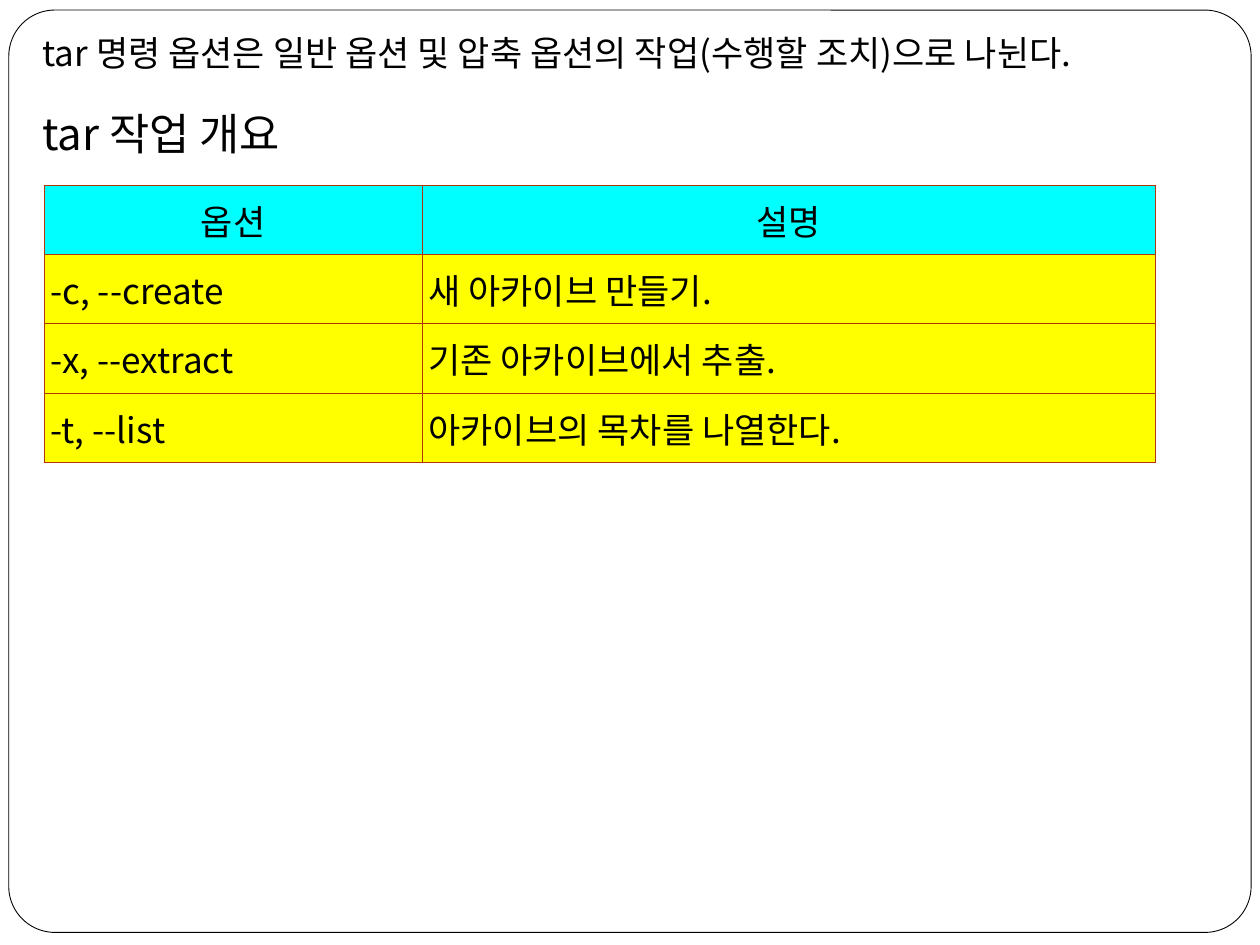
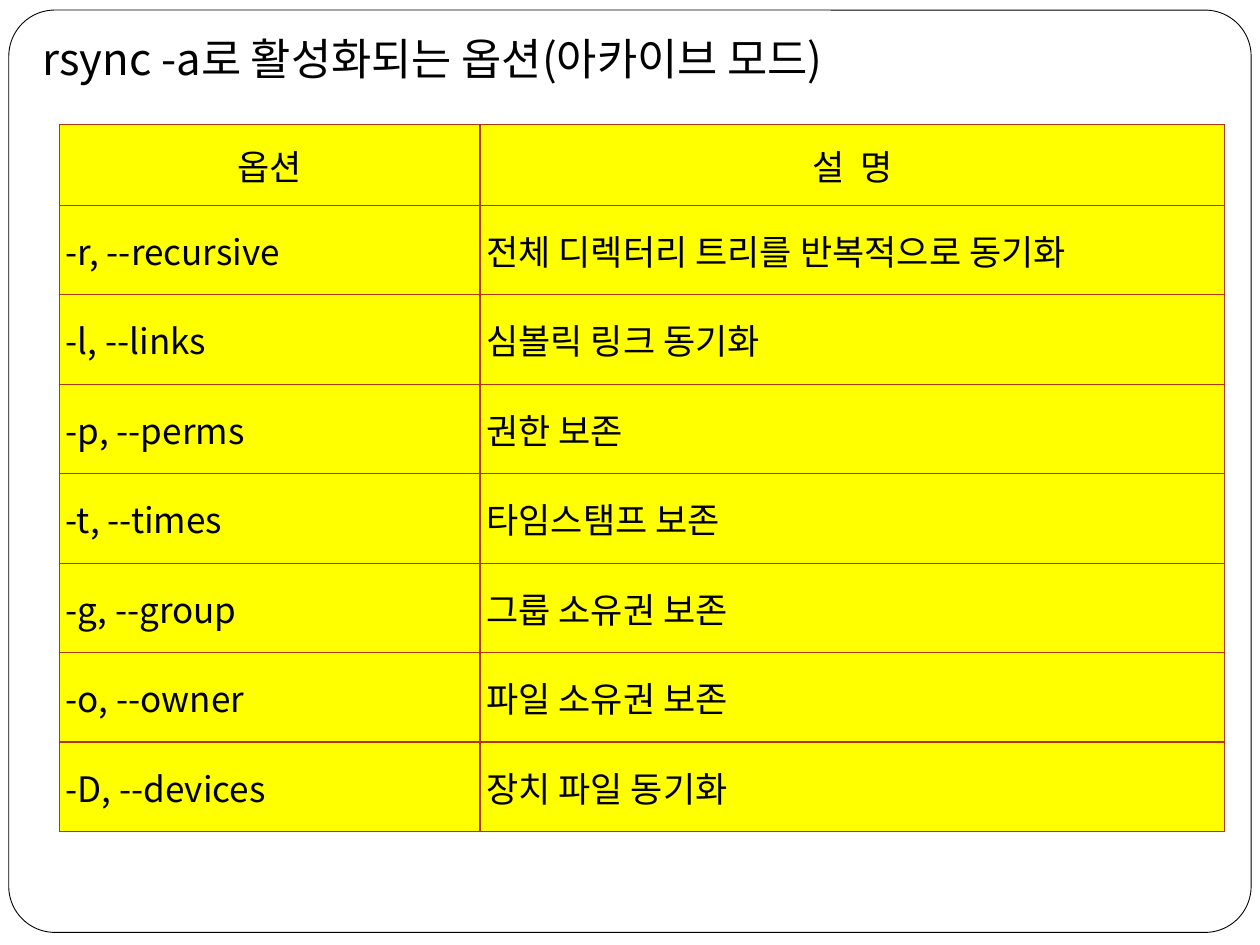
from lxml import etree
from pptx import Presentation
from pptx.dml.color import RGBColor
from pptx.enum.shapes import MSO_SHAPE
from pptx.enum.text import MSO_ANCHOR, PP_ALIGN
from pptx.oxml.ns import qn
from pptx.util import Inches, Pt

ROUND = MSO_SHAPE.ROUNDED_RECTANGLE
MIDDLE = MSO_ANCHOR.MIDDLE
LEFT, CENTER = PP_ALIGN.LEFT, PP_ALIGN.CENTER

# Shared style
FONT = "Noto Sans CJK KR"
COLORS = {"ink": "000000", "paper": "FFFFFF", "head": "00FFFF",
          "body": "FFFF00", "edge": "B1360B"}
BODY, TITLE = 20, 25
PAD = Inches(0.05)

# Content: lines are (text, size, space before)
SLIDES = [
    {
        "lines": [
            ("tar 명령 옵션은 일반 옵션 및 압축 옵션의 작업(수행할 조치)으로 나뉜다.", BODY, 0),
            ("tar 작업 개요", TITLE, 19),
        ],
        "at": (0.35, 1.47), "cols": (3, 5.82), "heights": (0.55, 0.55),
        "head": "head",
        "rows": [
            ("옵션", "설명"),
            ("-c, --create", "새 아카이브 만들기."),
            ("-x, --extract", "기존 아카이브에서 추출."),
            ("-t, --list", "아카이브의 목차를 나열한다."),
        ],
    },
    {
        "lines": [("rsync -a로 활성화되는 옵션(아카이브 모드)", TITLE, 0)],
        "at": (0.47, 0.99), "cols": (3.34, 5.91), "heights": (0.64, 0.71),
        "head": "body",
        "rows": [
            ("옵션", "설  명"),
            ("-r, --recursive", "전체 디렉터리 트리를 반복적으로 동기화"),
            ("-l, --links", "심볼릭 링크 동기화"),
            ("-p, --perms", "권한 보존"),
            ("-t, --times", "타임스탬프 보존"),
            ("-g, --group", "그룹 소유권 보존"),
            ("-o, --owner", "파일 소유권 보존"),
            ("-D, --devices", "장치 파일 동기화"),
        ],
    },
]


def paint(fill, name):
    fill.solid()
    fill.fore_color.rgb = RGBColor.from_string(COLORS[name])


def add_run(para, text, size):
    run = para.add_run()
    run.text = text
    run.font.size = Pt(size)
    run.font.name = FONT
    paint(run.font.fill, "ink")
    # Korean glyphs use the East Asian font slot
    etree.SubElement(run.font._element, qn("a:ea"), typeface=FONT)


def add_frame(slide):
    frame = slide.shapes.add_shape(
        ROUND, Inches(0.07), Inches(0.08), Inches(9.86), Inches(7.32))
    frame.adjustments[0] = 0.05
    frame.shadow.inherit = False
    paint(frame.fill, "paper")
    paint(frame.line.fill, "ink")
    frame.line.width = Pt(0.5)


def add_lines(slide, lines):
    box = slide.shapes.add_textbox(
        Inches(0.24), Inches(0.2), Inches(9.56), Inches(6.93))
    text = box.text_frame
    text.word_wrap = True
    for i, (words, size, gap) in enumerate(lines):
        para = text.add_paragraph() if i else text.paragraphs[0]
        para.space_before = Pt(gap)
        add_run(para, words, size)


def add_edges(cell):
    props = cell._tc.get_or_add_tcPr()
    for side in ("lnL", "lnR", "lnT", "lnB"):
        line = etree.SubElement(props, qn("a:" + side), w=str(Pt(0.75)))
        fill = etree.SubElement(line, qn("a:solidFill"))
        etree.SubElement(fill, qn("a:srgbClr"), val=COLORS["edge"])


def add_grid(slide, data):
    rows, cols = data["rows"], data["cols"]
    first, rest = data["heights"]
    tall = [first] + [rest] * (len(rows) - 1)
    left, top = data["at"]
    grid = slide.shapes.add_table(
        len(rows), len(cols), Inches(left), Inches(top),
        Inches(sum(cols)), Inches(sum(tall))).table
    for col, width in zip(grid.columns, cols):
        col.width = Inches(width)
    for r, row in enumerate(rows):
        grid.rows[r].height = Inches(tall[r])
        for c, words in enumerate(row):
            cell = grid.cell(r, c)
            cell.margin_left = cell.margin_right = PAD
            cell.margin_top = cell.margin_bottom = PAD
            cell.vertical_anchor = MIDDLE
            add_edges(cell)
            paint(cell.fill, "body" if r else data["head"])
            para = cell.text_frame.paragraphs[0]
            para.alignment = LEFT if r else CENTER
            add_run(para, words, BODY)


def main():
    deck = Presentation()
    deck.slide_width, deck.slide_height = Inches(10), Inches(7.5)
    blank = deck.slide_layouts[6]
    for data in SLIDES:
        slide = deck.slides.add_slide(blank)
        add_frame(slide)
        add_lines(slide, data["lines"])
        add_grid(slide, data)
    deck.save("out.pptx")


if __name__ == "__main__":
    main()
